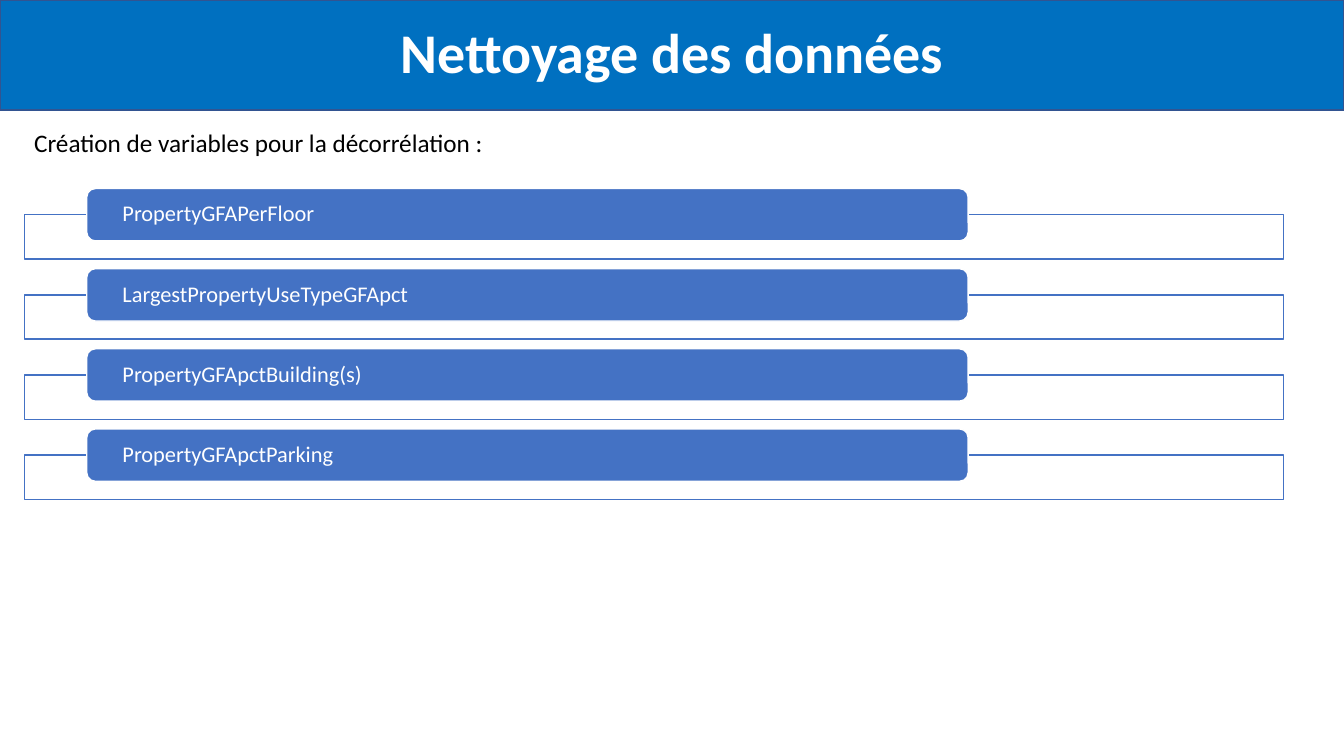
from lxml.etree import SubElement
from pptx import Presentation
from pptx.dml.color import RGBColor
from pptx.enum.shapes import MSO_SHAPE
from pptx.enum.text import MSO_ANCHOR, PP_ALIGN
from pptx.oxml.ns import qn
from pptx.util import Inches, Pt

COLOURS = {
    "banner": "0070C0",
    "banner_edge": "325491",
    "accent": "4472C4",
    "white": "FFFFFF",
    "black": "000000",
}
VARIABLES = [
    "PropertyGFAPerFloor",
    "LargestPropertyUseTypeGFApct",
    "PropertyGFApctBuilding(s)",
    "PropertyGFApctParking",
]


def colour(name):
    """Return the named colour of the palette."""
    return RGBColor.from_string(COLOURS[name])


def write(holder, text, size=18, ink="black", bold=False, align=PP_ALIGN.LEFT,
          anchor=MSO_ANCHOR.TOP, side=0.1, edge=0.05, spacing=1.0):
    """Write one formatted paragraph into a shape, text box or placeholder."""
    frame = holder.text_frame
    frame.word_wrap = True
    frame.vertical_anchor = anchor
    frame.margin_left = frame.margin_right = Inches(side)
    frame.margin_top = frame.margin_bottom = Inches(edge)
    paragraph = frame.paragraphs[0]
    paragraph.alignment = align
    paragraph.line_spacing = spacing
    run = paragraph.add_run()
    run.text = text
    run.font.name = "Calibri"
    run.font.size = Pt(size)
    run.font.bold = bold
    run.font.color.rgb = colour(ink)


def add_panel(slide, preset, left, top, width, height, fill, line):
    """Add a flat preset shape with a one-point outline."""
    panel = slide.shapes.add_shape(
        preset, Inches(left), Inches(top), Inches(width), Inches(height))
    panel.shadow.inherit = False
    panel.fill.solid()
    panel.fill.fore_color.rgb = colour(fill)
    panel.line.color.rgb = colour(line)
    panel.line.width = Pt(1)
    return panel


def add_header(slide, left, top, width, height):
    """Place the banner with the slide title in front of it."""
    add_panel(slide, MSO_SHAPE.FLOWCHART_PROCESS, left, top, width, height,
              "banner", "banner_edge")
    title = slide.shapes.title
    title.left, title.top = Inches(left), Inches(top + 0.12)
    title.width, title.height = Inches(width), Inches(0.77)
    write(title, "Nettoyage des données", size=40, ink="white", bold=True,
          align=PP_ALIGN.CENTER)
    slide.shapes._spTree.append(title._element)


def add_intro(slide, left, top, width, height):
    """Place the sentence that introduces the variables."""
    intro = slide.shapes.add_textbox(
        Inches(left), Inches(top), Inches(width), Inches(height))
    write(intro, "Création de variables pour la décorrélation :")


def add_variable_list(slide, left, top, width, height):
    """Stack one frame and one overlapping label per variable."""
    pitch = height / len(VARIABLES)
    for row, variable in enumerate(VARIABLES):
        row_top = top + row * pitch
        frame = add_panel(slide, MSO_SHAPE.RECTANGLE, left, row_top + 0.26,
                          width, 0.44, "white", "accent")
        frame_colour = frame.fill._xPr.find(qn("a:solidFill"))[0]
        SubElement(frame_colour, qn("a:alpha"), val="90000")
        label = add_panel(slide, MSO_SHAPE.ROUNDED_RECTANGLE, left + 0.62,
                          row_top, width * 0.7, 0.52, "accent", "white")
        write(label, variable, size=16, ink="white", anchor=MSO_ANCHOR.MIDDLE,
              side=0.33, edge=0, spacing=0.9)


def main():
    """Build and save the slide."""
    deck = Presentation()
    deck.slide_width, deck.slide_height = Inches(13.33), Inches(7.5)
    slide = deck.slides.add_slide(deck.slide_layouts[5])
    add_header(slide, 0, 0, 13.33, 1.09)
    add_intro(slide, 0.24, 1.21, 4.99, 0.4)
    add_variable_list(slide, 0.24, 1.87, 12.49, 3.18)
    deck.save("out.pptx")


if __name__ == "__main__":
    main()
